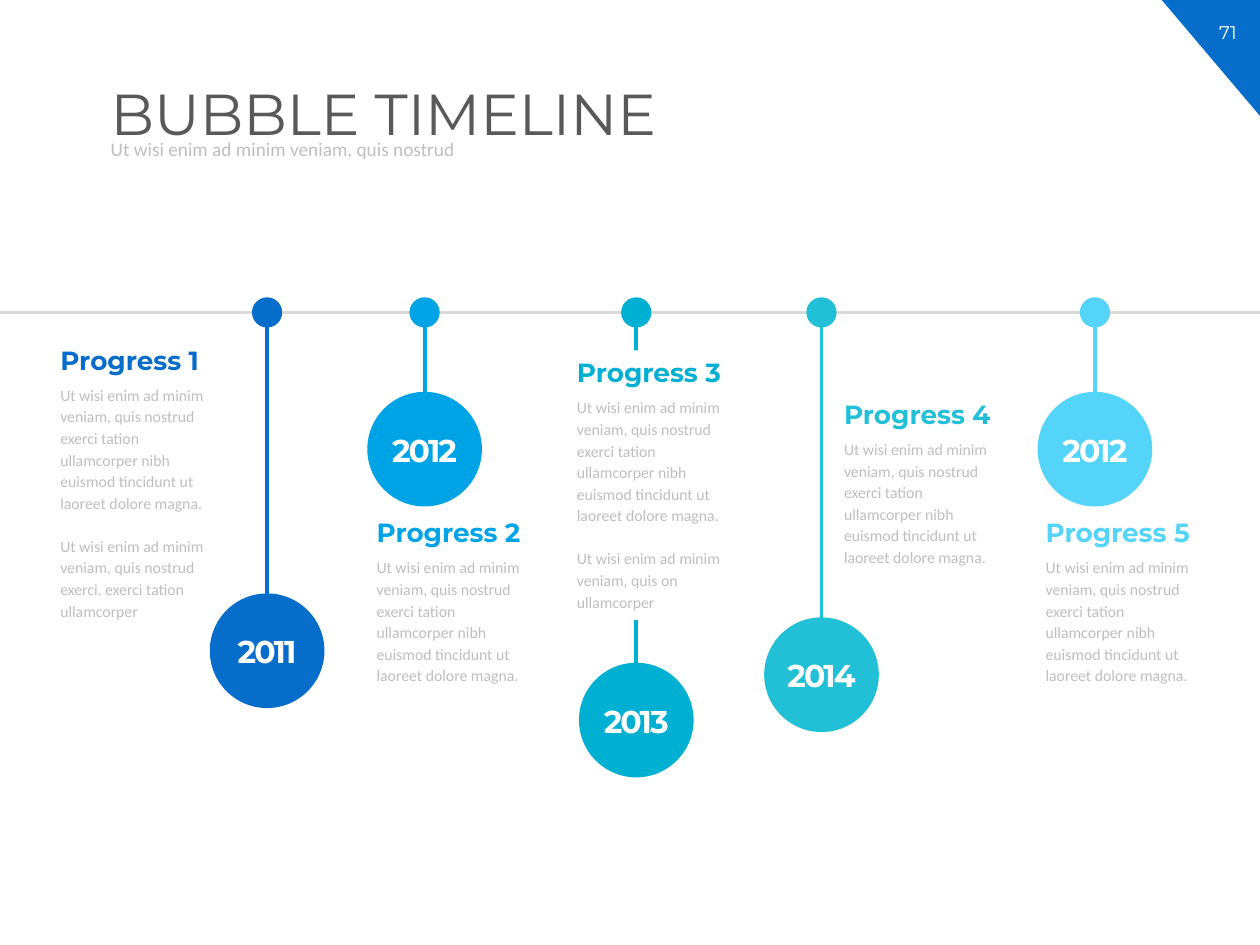
"""Build the bubble timeline slide."""
from lxml.etree import SubElement
from pptx import Presentation
from pptx.dml.color import RGBColor
from pptx.enum.shapes import MSO_CONNECTOR as Connector, MSO_SHAPE as Shape
from pptx.enum.text import MSO_ANCHOR as Anchor, MSO_AUTO_SIZE as AutoSize, PP_ALIGN as Align
from pptx.oxml.ns import qn
from pptx.util import Inches, Pt

COLORS = {
    "blue": "066DCA", "azure": "00A4E6", "teal": "00B0D3", "aqua": "21C0D7", "sky": "55D4FA",
    "white": "FFFFFF", "title": "595959", "text": "BFBFBF", "axis": "D9D9D9",
}
AXIS_Y = 2.48
DOT = 0.24
BUBBLE = 0.91
YEAR_WIDTH = 0.97
COLUMN = 1.39
LOREM = ("Ut wisi enim ad minim veniam, quis nostrud exerci tation ullamcorper nibh "
         "euismod tincidunt ut laoreet dolore magna.")
EVENTS = [
    ("2011", "blue", 2.12, 5.1, 4.71, 0.38, 2.68, 2,
     [LOREM, "Ut wisi enim ad minim veniam, quis nostrud exerci. exerci tation ullamcorper"]),
    ("2012", "azure", 3.37, 3.75, 3.11, 2.89, 4.05, 1.14, [LOREM]),
    ("2013", "teal", 5.05, 5.71, 5.26, 4.48, 2.78, 1.83,
     [LOREM, "Ut wisi enim ad minim veniam, quis on ullamcorper"]),
    ("2014", "aqua", 6.52, 5.1, 4.9, 6.6, 3.11, 1.31, [LOREM]),
    ("2012", "sky", 8.69, 3.75, 3.11, 8.2, 4.05, 1.14, [LOREM]),
]


def add_text(shapes, place, lines, size, color, font="Montserrat", bold=False,
             align=Align.LEFT, spacing=None, grow=True):
    box = shapes.add_textbox(*[Inches(value) for value in place])
    frame = box.text_frame
    frame.word_wrap = True
    frame.auto_size = AutoSize.SHAPE_TO_FIT_TEXT if grow else AutoSize.NONE
    for index, line in enumerate(lines):
        para = frame.add_paragraph() if index else frame.paragraphs[0]
        para.alignment = align
        if spacing:
            para.line_spacing = spacing
        if index:
            para.space_before = Pt(12.3)
        span = para.add_run()
        span.text = line
        span.font.name = font
        span.font.size = Pt(size)
        span.font.bold = bold
        span.font.color.rgb = RGBColor.from_string(COLORS[color])
    return box


def add_filled(shapes, kind, place, color):
    shape = shapes.add_shape(kind, *[Inches(value) for value in place])
    shape.shadow.inherit = False
    shape.fill.solid()
    shape.fill.fore_color.rgb = RGBColor.from_string(COLORS[color])
    shape.line.fill.background()
    return shape


deck = Presentation()
deck.slide_width = Inches(10)
deck.slide_height = Inches(7.5)
page = deck.slides.add_slide(deck.slide_layouts[6])

corner = add_filled(page.shapes, Shape.RIGHT_TRIANGLE, (9.22, 0, 0.78, 0.92), "blue")
corner.rotation = 180
add_text(page.shapes, (9.49, 0.12, 0.51, 0.28), ["71"], 10.5, "white", align=Align.CENTER)
add_text(page.shapes, (0.78, 0.63, 8.86, 0.73), ["BUBBLE TIMELINE"], 33, "title",
         spacing=0.9, grow=False)
subtitle = add_text(page.shapes, (0.78, 1.06, 7.21, 0.26),
                    ["Ut wisi enim ad minim veniam, quis nostrud"], 11, "text",
                    font="Calibri", spacing=0.9, grow=False)
subtitle.text_frame.vertical_anchor = Anchor.MIDDLE

lines = [(0, AXIS_Y, 10, AXIS_Y, "axis")]
lines += [(x, AXIS_Y, x, stem_end, color) for _, color, x, stem_end, *_ in EVENTS]
connectors = []
for left, top, right, bottom, color in lines:
    line = page.shapes.add_connector(
        Connector.STRAIGHT, Inches(left), Inches(top), Inches(right), Inches(bottom))
    line.line.width = Pt(2.25)
    line.line.color.rgb = RGBColor.from_string(COLORS[color])
    SubElement(line._element.spPr, qn("a:effectLst"))

for number, event in enumerate(EVENTS, 1):
    year, color, x, stem_end, bubble_top, left, top, height, lines = event
    add_filled(page.shapes, Shape.OVAL, (x - DOT / 2, AXIS_Y - DOT / 2, DOT, DOT), color)

    bubble = page.shapes.add_group_shape()
    add_filled(bubble.shapes, Shape.OVAL, (x - BUBBLE / 2, bubble_top, BUBBLE, BUBBLE), color)
    label = add_text(bubble.shapes, (x - YEAR_WIDTH / 2, bubble_top + 0.26, YEAR_WIDTH, 0.4),
                     [year], 18, "white", bold=True, align=Align.CENTER)
    label.text_frame.paragraphs[0].runs[0]._r.get_or_add_rPr().set("spc", "-110")

    body = add_text(page.shapes, (left, top + 0.31, COLUMN, height), lines, 9, "text",
                    font="Calibri", spacing=1.14)
    heading = add_text(page.shapes, (left, top, COLUMN, 0.35), [f"Progress {number}"],
                       15, color, bold=True)
    if left < x - BUBBLE / 2 and left + COLUMN > x and top < bubble_top:
        for box in (body, heading):
            box.fill.solid()
            box.fill.fore_color.rgb = RGBColor.from_string(COLORS["white"])

deck.save("out.pptx")
